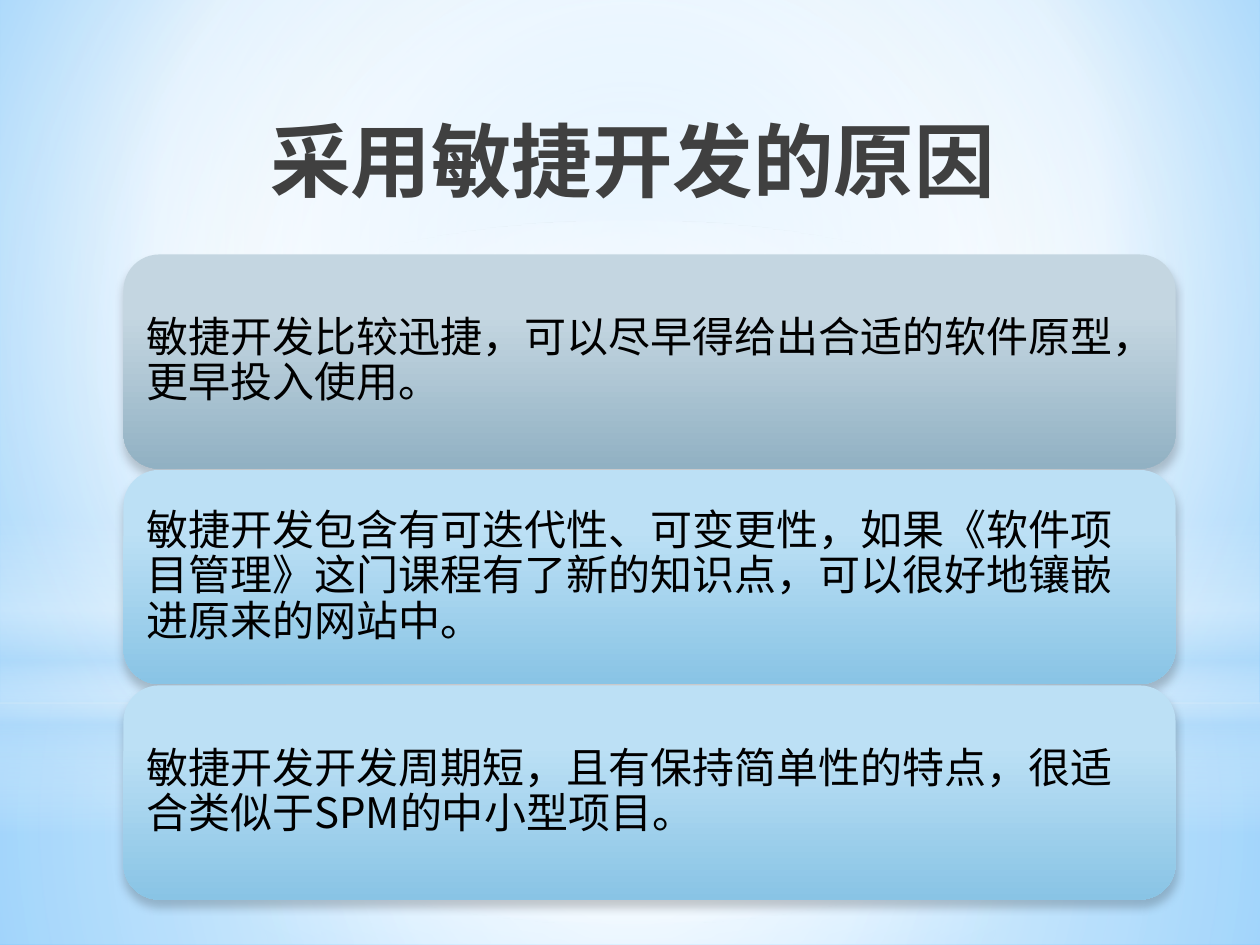
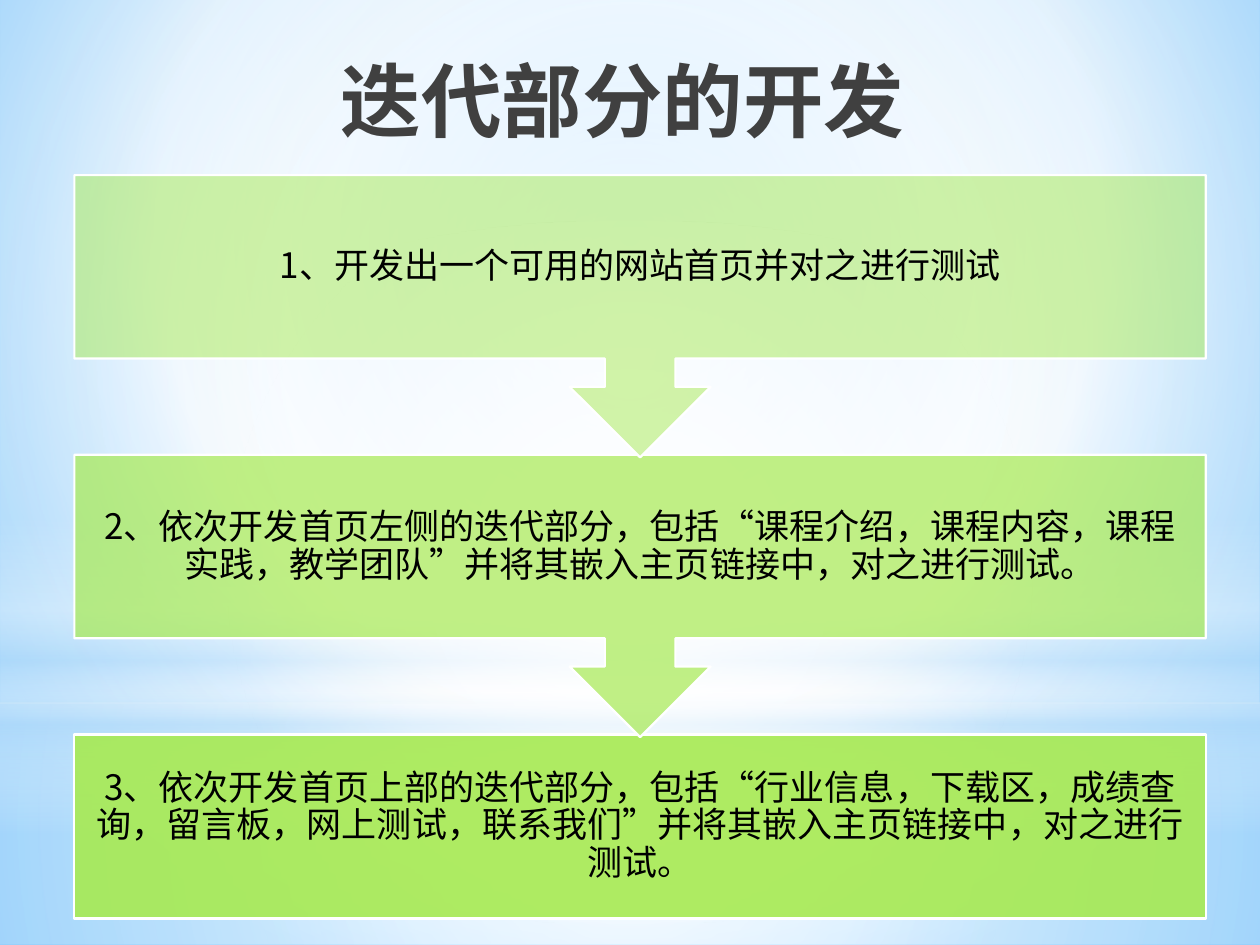
from lxml.etree import SubElement
from pptx import Presentation
from pptx.dml.color import RGBColor
from pptx.enum.shapes import MSO_SHAPE
from pptx.enum.text import MSO_ANCHOR, PP_ALIGN
from pptx.oxml.ns import qn
from pptx.util import Inches, Pt

FONT = "Noto Sans CJK SC"
BLACK, WHITE, HAZE, GREEN = "000000", "FFFFFF", "B4DCFA", "A7EA52"
STEEL = [(28, "C4D6E1"), (100, "91B1C3")]
SKY = [(28, "BCE0F5"), (100, "89C4E5")]
INK = [(0, BLACK), (40, "404040"), (100, "212745", 65)]
MID = (50, 50, 50, 50)
REASONS = [
    ("敏捷开发比较迅捷，可以尽早得给出合适的软件原型，更早投入使用。", STEEL),
    ("敏捷开发包含有可迭代性、可变更性，如果《软件项目管理》这门课程有了新的知识点，"
     "可以很好地镶嵌进原来的网站中。", SKY),
    ("敏捷开发开发周期短，且有保持简单性的特点，很适合类似于SPM的中小型项目。", SKY),
]
STEPS = [
    ("1、开发出一个可用的网站首页并对之进行测试", 50),
    ("2、依次开发首页左侧的迭代部分，包括“课程介绍，课程内容，课程实践，教学团队”"
     "并将其嵌入主页链接中，对之进行测试。", 70),
    ("3、依次开发首页上部的迭代部分，包括“行业信息，下载区，成绩查询，留言板，"
     "网上测试，联系我们”并将其嵌入主页链接中，对之进行测试。", 90),
]


def color(text):
    """Turn a hex string into a colour."""
    return RGBColor.from_string(text)


def node(parent, tag, **attrs):
    """Add a drawing element with the given attributes."""
    return SubElement(parent, qn("a:" + tag), {k: str(v) for k, v in attrs.items()})


def tint(parent, tone, alpha=100):
    """Add a colour with its opacity in percent."""
    item = node(parent, "srgbClr", val=tone)
    if alpha < 100:
        node(item, "alpha", val=alpha * 1000)


def blend(fill, props, stops, focus=None):
    """Fill with a gradient, round when a focus is given, else downward."""
    fill.solid()
    fill.fore_color.rgb = color(WHITE)
    old = props.find(qn("a:solidFill"))
    grad = node(props, "gradFill", rotWithShape=1)
    props.replace(old, grad)
    items = node(grad, "gsLst")
    for pos, *tone in stops:
        tint(node(items, "gs", pos=pos * 1000), *tone)
    if focus:
        sides = {k: v * 1000 for k, v in zip("ltrb", focus)}
        node(node(grad, "path", path="circle"), "fillToRect", **sides)
    else:
        node(grad, "lin", ang=5400000, scaled=0)


def form(slide, kind, box):
    """Add a preset shape without shadow or line."""
    shape = slide.shapes.add_shape(kind, *map(Inches, box))
    shape.shadow.inherit = False
    shape.line.fill.background()
    return shape


def write(frame, text, size, align, inset, anchor=MSO_ANCHOR.MIDDLE):
    """Write one paragraph into a text frame and return its run."""
    frame.word_wrap = True
    frame.vertical_anchor = anchor
    frame.margin_left = frame.margin_right = Inches(inset)
    frame.margin_top = frame.margin_bottom = Inches(inset)
    para = frame.paragraphs[0]
    para.alignment, para.line_spacing = align, 0.9
    run = para.add_run()
    run.text = text
    run.font.size, run.font.name = Pt(size), FONT
    run.font.color.rgb = color(BLACK)
    node(run.font._element, "ea", typeface=FONT)
    return run


def scene(master, slide):
    """Give the master its sky background and haze bands."""
    fill = master.background.fill
    fill.solid()
    blend(fill, master.element.find(".//" + qn("p:bgPr")),
          [(0, "9ED5FF"), (60, WHITE), (100, "5BB9FF")], (20, 10, 20, 60))
    rect, oval = MSO_SHAPE.RECTANGLE, MSO_SHAPE.OVAL
    bands = [
        (rect, (0, 5.58, 10, 1.92), MID,
         [(0, WHITE, 91), (37, WHITE, 76), (100, HAZE, 79)]),
        (rect, (0, 0, 10, 5.58), MID,
         [(0, WHITE, 89), (48, WHITE, 62), (100, HAZE, 79)]),
        (rect, (0, 4.12, 10, 2.5), None,
         [(0, WHITE, 0), (29, WHITE, 30), (45, HAZE, 40),
          (55, WHITE, 26), (65, HAZE, 60), (100, WHITE, 0)]),
        (oval, (0, 1.75, 10, 5.58), MID, [(0, WHITE), (56, WHITE, 0)]),
    ]
    tree = master.element.cSld.spTree
    for i, (kind, box, focus, stops) in enumerate(bands):
        band = form(slide, kind, box)
        blend(band.fill, band.element.spPr, stops, focus)
        band.element.nvSpPr.cNvPr.set("id", str(100 + i))
        tree.insert(2 + i, band.element)


def head(slide, text, left, top):
    """Place and style the title."""
    title = slide.shapes.title
    title.left, title.top = Inches(left), Inches(top)
    title.width, title.height = Inches(7.12), Inches(1.25)
    run = write(title.text_frame, text, 46, PP_ALIGN.CENTER, 0.05, MSO_ANCHOR.TOP)
    run.font.bold = True
    blend(run.font.fill, run.font._element, INK)


def cards(slide, box, items):
    """Stack rounded cards with soft shadows in the box."""
    left, top, width, height = box
    gap = 0.01
    tall = (height - gap * (len(items) - 1)) / len(items)
    for i, (text, stops) in enumerate(items):
        place = (left, top + i * (tall + gap), width, tall)
        card = form(slide, MSO_SHAPE.ROUNDED_RECTANGLE, place)
        props = card.element.spPr
        blend(card.fill, props, stops)
        shade = node(props.find(qn("a:effectLst")), "outerShdw", blurRad=Pt(5),
                     dist=Pt(4), dir=5400000, rotWithShape=0)
        tint(shade, BLACK, 20)
        write(card.text_frame, text, 24, PP_ALIGN.LEFT, 0.1)


def flow(slide, box, items):
    """Stack steps in the box, each but the last pointing to the next."""
    left, top, width, height = box
    tall, deep = 1.46, 2.24
    pitch = (height - tall) / (len(items) - 1)
    for i, (text, alpha) in reversed(list(enumerate(items))):
        last = i == len(items) - 1
        kind = MSO_SHAPE.RECTANGLE if last else MSO_SHAPE.UP_ARROW_CALLOUT
        y = top + i * pitch
        step = form(slide, kind, (left, y, width, tall if last else deep))
        step.rotation = 0 if last else 180
        step.fill.solid()
        step.fill.fore_color.rgb = color(GREEN)
        tone = step.element.spPr.find(qn("a:solidFill"))[0]
        node(tone, "alpha", val=alpha * 1000)
        step.line.color.rgb = color(WHITE)
        step.line.width = Pt(1.25)
        label = slide.shapes.add_textbox(*map(Inches, (left, y, width, tall)))
        write(label.text_frame, text, 20, PP_ALIGN.CENTER, 0.16)


def main():
    """Build both slides and save them."""
    deck = Presentation()
    deck.slide_width, deck.slide_height = Inches(10), Inches(7.5)
    layout = deck.slide_layouts[5]
    why = deck.slides.add_slide(layout)
    scene(deck.slide_master, why)
    head(why, "采用敏捷开发的原因", 1.46, 0.92)
    cards(why, (0.98, 2.02, 8.35, 5.12), REASONS)
    how = deck.slides.add_slide(layout)
    head(how, "迭代部分的开发", 1.38, 0.44)
    flow(how, (0.59, 1.39, 8.98, 5.9), STEPS)
    deck.save("out.pptx")


if __name__ == "__main__":
    main()
